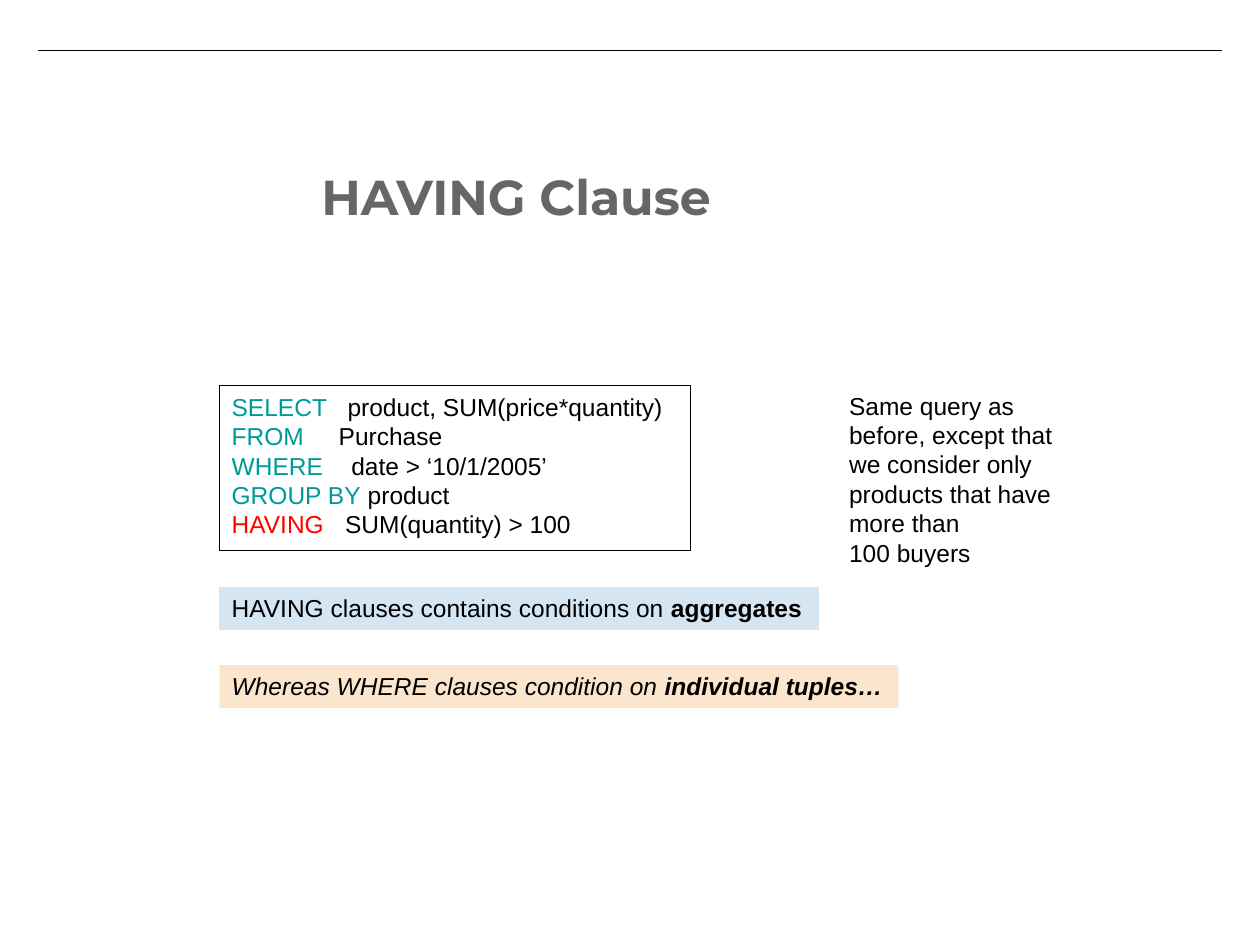
from lxml.etree import SubElement
from pptx import Presentation
from pptx.dml.color import RGBColor
from pptx.enum.shapes import MSO_CONNECTOR, MSO_SHAPE
from pptx.enum.text import MSO_ANCHOR, MSO_AUTO_SIZE, PP_ALIGN
from pptx.oxml.ns import qn
from pptx.util import Inches, Pt

COLORS = {"black": "000000", "white": "FFFFFF", "gray": "666666", "teal": "009999",
          "red": "FF0000", "blue": "D5E5F2", "peach": "FCE5CD"}
BODY = {"name": "Arial", "size": Pt(14), "bold": False, "italic": False}
HEAD = {"name": "Montserrat", "size": Pt(28), "bold": True}
BOLD = {"bold": True}
ITALIC = {"italic": True}

TITLE = "HAVING Clause"
# keyword, colour, rest of the line, tab stop in inches
QUERY = [
    ("SELECT", "teal", "product, SUM(price*quantity)", 0.92),
    ("FROM", "teal", "Purchase", 0.85),
    ("WHERE", "teal", "date > ‘10/1/2005’", 0.95),
    ("GROUP BY", "teal", "product", None),
    ("HAVING", "red", "SUM(quantity) > 100", 0.9),
]
# Each paragraph is a list of (text, colour, format)
NOTE = [
    [("Same query as before, except that we consider only products that have more than",
      "black", {})],
    [("100 buyers", "black", {})],
]
HAVING = [[("HAVING clauses contains conditions on ", "black", {}),
           ("aggregates", "black", BOLD)]]
WHERE = [[("Whereas WHERE clauses condition on ", "black", ITALIC),
          ("individual tuples…", "black", ITALIC | BOLD)]]

LEFT = 1.74
BAR = 0.34
BOXES = [
    (NOTE, (6.64, 3.05, 1.92, 1.51), None, None),
    (HAVING, (LEFT, 4.66, 4.76, BAR), "blue", None),
    ([[(word, tint, {}), ((" " if stop is None else "\t") + rest, "black", {})]
      for word, tint, rest, stop in QUERY],
     (LEFT, 3.06, 3.74, 1.31), "white", "black"),
    (WHERE, (LEFT, 5.28, 5.39, BAR), "peach", None),
]


def color(name):
    return RGBColor.from_string(COLORS[name])


def style(font, tint, *formats):
    for values in formats:
        for key, value in values.items():
            setattr(font, key, value)
    font.color.rgb = color(tint)


def frame(shape, pad):
    text = shape.text_frame
    values = {"word_wrap": True, "auto_size": MSO_AUTO_SIZE.NONE,
              "vertical_anchor": MSO_ANCHOR.TOP,
              "margin_left": Inches(0.1), "margin_right": Inches(0.1),
              "margin_top": Inches(pad), "margin_bottom": Inches(pad)}
    for key, value in values.items():
        setattr(text, key, value)
    return text


def write(text, lines):
    for i, line in enumerate(lines):
        para = text.add_paragraph() if i else text.paragraphs[0]
        para.alignment = PP_ALIGN.LEFT
        for words, tint, extra in line:
            run = para.add_run()
            run.text = words
            style(run.font, tint, BODY, extra)


def add_box(slide, lines, place, fill, edge):
    place = map(Inches, place)
    if fill is None:
        shape = slide.shapes.add_textbox(*place)
    else:
        shape = slide.shapes.add_shape(MSO_SHAPE.RECTANGLE, *place)
        shape.shadow.inherit = False
        shape.fill.solid()
        shape.fill.fore_color.rgb = color(fill)
        if edge:
            shape.line.color.rgb = color(edge)
            shape.line.width = Pt(0.75)
        else:
            shape.line.fill.background()
    text = frame(shape, 0.05)
    write(text, lines)
    return text


def set_tab(para, stop):
    tabs = SubElement(para._p.get_or_add_pPr(), qn("a:tabLst"))
    SubElement(tabs, qn("a:tab"), pos=str(Inches(stop)), algn="l")


def add_rule(slide):
    rule = slide.shapes.add_connector(
        MSO_CONNECTOR.STRAIGHT, Inches(0.3), Inches(0.4), Inches(9.7), Inches(0.4))
    rule.line.color.rgb = color("black")
    rule.line.width = Pt(0.75)
    SubElement(rule._element.spPr, qn("a:effectLst"))


def add_title(slide):
    title = slide.shapes.title
    title.left, title.top, title.width, title.height = map(
        Inches, (2.45, 1.22, 7.31, 1.27))
    text = frame(title, 0.1)
    text.text = TITLE
    para = text.paragraphs[0]
    para.alignment = PP_ALIGN.LEFT
    style(para.runs[0].font, "gray", HEAD)


def main():
    deck = Presentation()
    deck.slide_width, deck.slide_height = Inches(10), Inches(7.5)
    slide = deck.slides.add_slide(deck.slide_layouts[5])
    add_rule(slide)
    add_title(slide)
    texts = [add_box(slide, *box) for box in BOXES]
    for para, (*_, stop) in zip(texts[2].paragraphs, QUERY):
        if stop is not None:
            set_tab(para, stop)
    deck.save("out.pptx")


if __name__ == "__main__":
    main()
